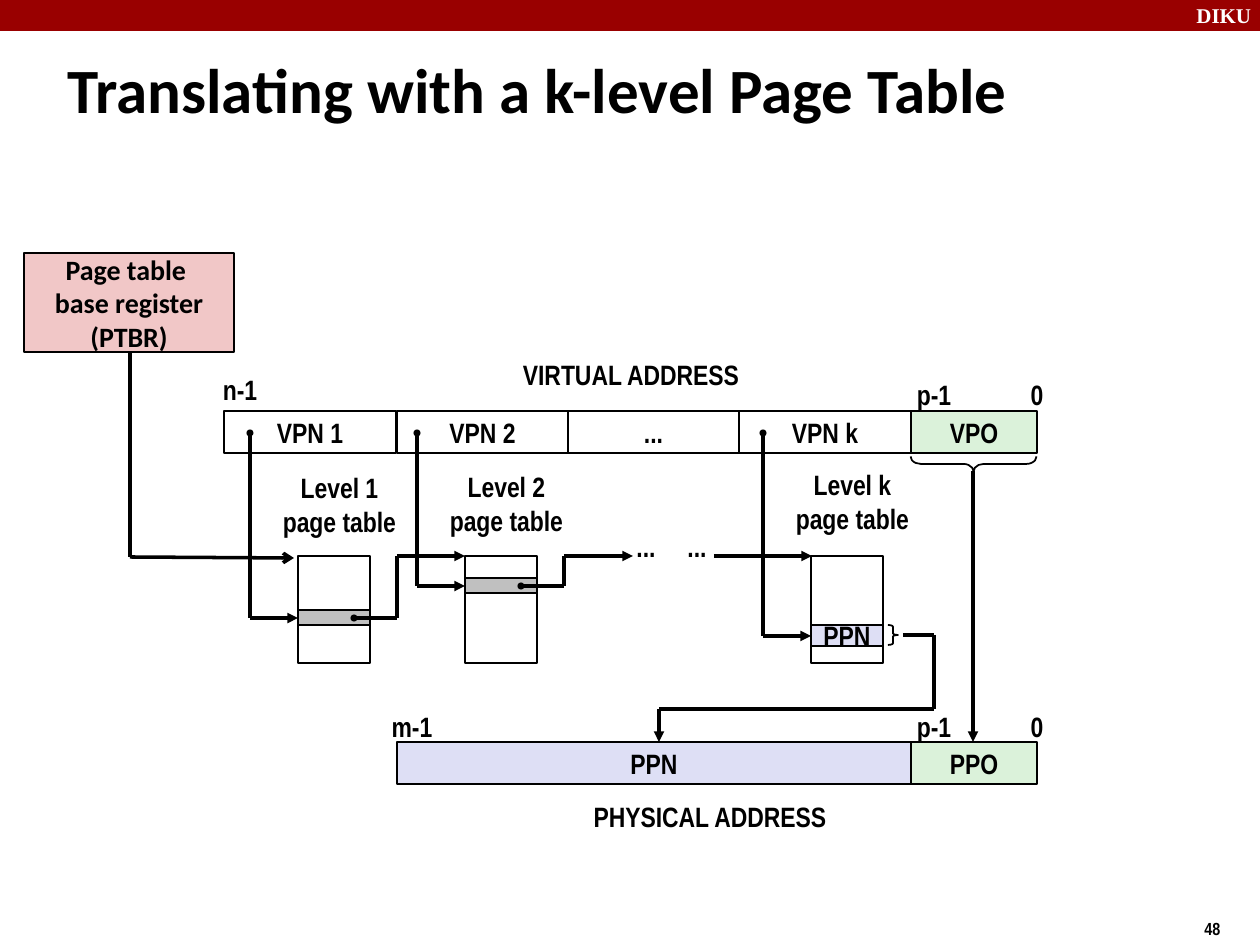
from itertools import pairwise

from lxml.etree import SubElement
from pptx import Presentation
from pptx.dml.color import RGBColor
from pptx.enum.shapes import MSO_CONNECTOR, MSO_SHAPE
from pptx.enum.text import MSO_ANCHOR, PP_ALIGN
from pptx.oxml.ns import qn
from pptx.util import Pt

PX = 914400 / 126
THEME = {
    "black": "000000", "white": "FFFFFF", "bar": "990000", "register": "F1C7C7",
    "offset": "DBF2DA", "page": "DEDFF5", "entry": "C0C0C0",
    "thin": 1, "thick": 2,
    "title": {"name": "Calibri", "size": Pt(36), "bold": True},
    "box": {"name": "Calibri", "size": Pt(16), "bold": True},
    "label": {"name": "Arial Narrow", "size": Pt(16), "bold": True},
    "number": {"name": "Arial Narrow", "size": Pt(10), "bold": True},
    "brand": {"name": "Times New Roman", "size": Pt(12), "bold": True},
}

TITLE = "Translating with a k-level Page Table"
REGISTER = "Page table \vbase register\n(PTBR)"

# Address rows: text, left, right, fill
VIRTUAL_Y, PHYSICAL_Y, ROW_H = 411, 742, 42
VIRTUAL = [("VPN 1", 224, 396, None), ("VPN 2", 397, 568, None),
           ("...", 568, 739, None), ("VPN k", 739, 911, None),
           ("VPO", 911, 1037, "offset")]
PHYSICAL = [("PPN", 397, 911, "page"), ("PPO", 911, 1037, "offset")]

# Page tables: level, left, caption top, entry top, entry height, entry text, fill,
# end of the arrow to the next level
TABLE_Y, TABLE_W, TABLE_H = 556, 72, 107
TABLES = [("1", 298, 465, 610, 15, "", "entry", 465),
          ("2", 465, 464, 578, 15, "", "entry", 633),
          ("k", 811, 462, 625, 21, "PPN", "page", None)]

# Labels: text, centre, top, width
LABELS = [("n-1", 240, 367, 76), ("p-1", 934, 372, 76), ("0", 1037, 372, 44),
          ("m-1", 412, 704, 76), ("p-1", 934, 704, 76), ("0", 1037, 704, 44),
          ("VIRTUAL ADDRESS", 631, 352, 260), ("PHYSICAL ADDRESS", 710, 794, 270),
          ("...", 646, 524, 50), ("...", 697, 524, 50)]
LABEL_H = 45

# Routes: corner points, arrowhead at the end
ROUTES = [([(130, 352), (130, 557), (294, 558)], "arrow"),
          ([(973, 471), (973, PHYSICAL_Y)], "triangle"),
          ([(903, 635), (934, 635), (934, 709), (659, 709), (659, PHYSICAL_Y)], "triangle"),
          ([(714, TABLE_Y), (812, TABLE_Y)], "triangle")]

# Braces: left, top, width, height, rotation, curve
BRACES = [(966, 401, 15, 126, 90, 0.68), (888, 625, 10, 20, 0, 0.16)]


def px(*lengths):
    return [round(n * PX) for n in lengths]


def color(name):
    return RGBColor.from_string(THEME[name])


def write(s, text, style="label", ink="black", align=PP_ALIGN.CENTER, wrap=False):
    tf = s.text_frame
    tf.text = text
    tf.word_wrap = wrap
    tf.vertical_anchor = MSO_ANCHOR.MIDDLE
    for p in tf.paragraphs:
        p.alignment = align
        for r in p.runs:
            for key, value in THEME[style].items():
                setattr(r.font, key, value)
            r.font.color.rgb = color(ink)


def add_label(shapes, text, box, **look):
    write(shapes.add_textbox(*px(*box)), text, **look)


def add_outline(shapes, kind, box, fill=None, line="black"):
    s = shapes.add_shape(kind, *px(*box))
    s.shadow.inherit = False
    if fill:
        s.fill.solid()
        s.fill.fore_color.rgb = color(fill)
    else:
        s.fill.background()
    if line:
        s.line.color.rgb = color(line)
        s.line.width = Pt(THEME["thin"])
    else:
        s.line.fill.background()
    return s


def add_box(shapes, box, fill=None, text="", line="black", **look):
    s = add_outline(shapes, MSO_SHAPE.RECTANGLE, box, fill, line)
    if text:
        write(s, text, **look)


def add_route(shapes, points, tail=None, head=None):
    """Draw straight segments through the points, with ends on the first and last."""
    for i, (start, end) in enumerate(pairwise(points)):
        s = shapes.add_connector(MSO_CONNECTOR.STRAIGHT, *px(*start, *end))
        s.line.color.rgb = color("black")
        s.line.width = Pt(THEME["thick"])
        ln = s.line._get_or_add_ln()
        if head and i == 0:
            SubElement(ln, qn("a:headEnd"), type=head, w="sm", len="sm")
        if tail and i == len(points) - 2:
            SubElement(ln, qn("a:tailEnd"), type=tail)
        SubElement(ln.getparent(), qn("a:effectLst"))


def add_page_table(shapes, level, x, caption_y, entry_y, entry_h, text, fill, next_x):
    stem_x, mid_y = x - 48, entry_y + entry_h // 2 + 1
    add_box(shapes, (x, TABLE_Y, TABLE_W, TABLE_H))
    add_box(shapes, (x, entry_y, TABLE_W, entry_h), fill, text)
    add_route(shapes, [(stem_x, 433), (stem_x, mid_y), (x, mid_y)], "triangle", "oval")
    if next_x:
        out_x, turn_x = x + 56, x + 99
        add_route(shapes, [(out_x, mid_y), (turn_x, mid_y), (turn_x, TABLE_Y),
                           (next_x, TABLE_Y)], "triangle", "oval")
    add_label(shapes, f"Level {level}\npage table", (x - 28, caption_y, 139, 79))


def main():
    prs = Presentation()
    prs.slide_width, prs.slide_height = px(1260, 945)
    slide = prs.slides.add_slide(prs.slide_layouts[5])
    shapes = slide.shapes

    title = shapes.title
    title.left, title.top, title.width, title.height = px(55, 34, 1142, 108)
    write(title, TITLE, style="title", align=PP_ALIGN.LEFT, wrap=True)

    add_box(shapes, (0, 0, 1260, 31), "bar", line=None)
    add_label(shapes, "DIKU", (1184, -4, 84, 38), style="brand", ink="white",
              align=PP_ALIGN.LEFT)
    add_label(shapes, "48", (1192, 911, 94, 34), style="number", align=PP_ALIGN.LEFT)

    add_box(shapes, (24, 253, 210, 99), "register", REGISTER, style="box", wrap=True)
    for y, row in ((VIRTUAL_Y, VIRTUAL), (PHYSICAL_Y, PHYSICAL)):
        for text, left, right, fill in row:
            add_box(shapes, (left, y, right - left, ROW_H), fill, text)
    for table in TABLES:
        add_page_table(shapes, *table)
    for points, tail in ROUTES:
        add_route(shapes, points, tail)
    for text, center, y, w in LABELS:
        add_label(shapes, text, (center - w // 2, y, w, LABEL_H))
    for *box, rotation, curve in BRACES:
        s = add_outline(shapes, MSO_SHAPE.RIGHT_BRACE, box)
        s.rotation = rotation
        s.adjustments[0] = curve

    prs.save("out.pptx")


if __name__ == "__main__":
    main()
